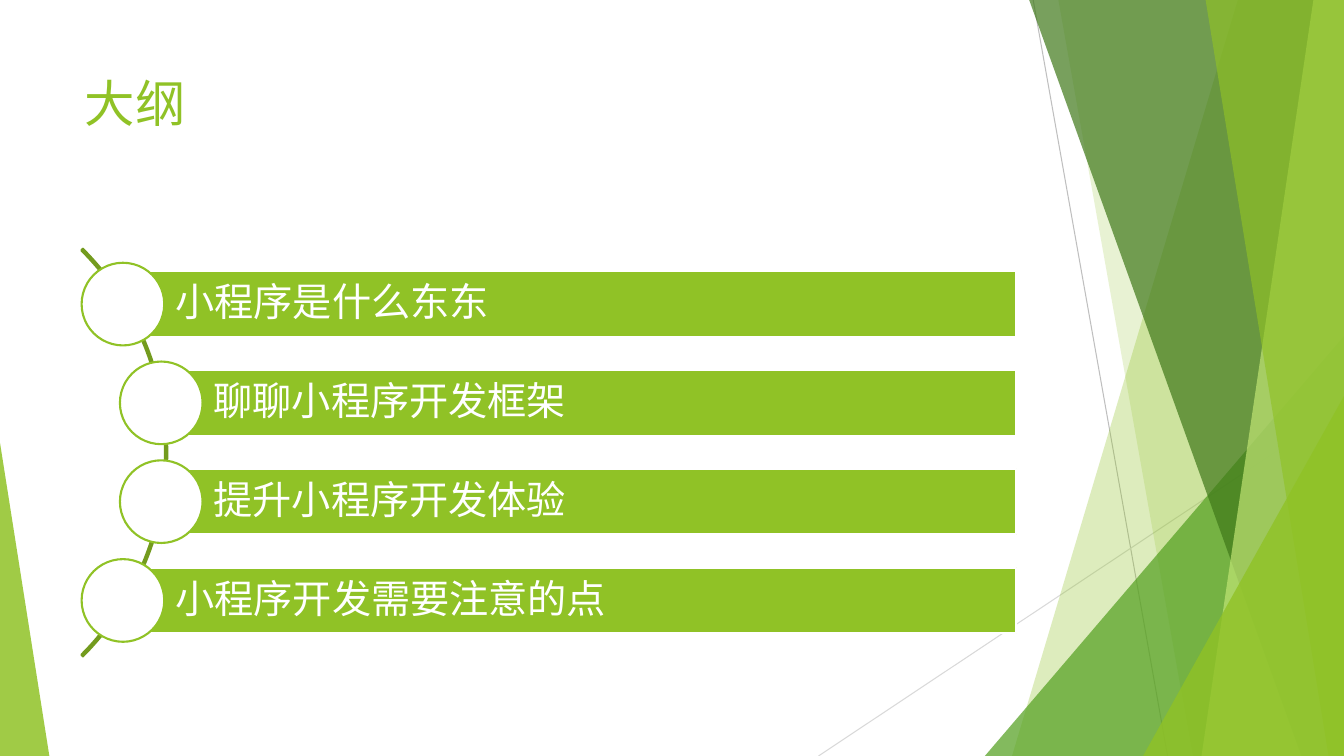
from lxml import etree
from pptx import Presentation
from pptx import util as u
from pptx.dml.color import RGBColor
from pptx.enum import shapes, text
from pptx.oxml import ns

LIME = RGBColor(0x90, 0xC2, 0x26)
PALE_LIME = RGBColor(0xC0, 0xE4, 0x74)
LEAF = RGBColor(0x54, 0xA0, 0x21)
FOREST = RGBColor(0x3F, 0x78, 0x19)
MOSS = RGBColor(0x73, 0x9B, 0x1E)
GREY = RGBColor(0xBF, 0xBF, 0xBF)
LIGHT_GREY = RGBColor(0xD9, 0xD9, 0xD9)
WHITE = RGBColor(0xFF, 0xFF, 0xFF)

COLS, ROWS = 80, 45


class OutlineSlide:
    """Draws on a grid of COLS by ROWS cells."""
    font = "Karla"

    def __init__(self, deck):
        self.slide = deck.slides.add_slide(deck.slide_layouts[5])
        self.shapes = self.slide.shapes
        self.col = deck.slide_width / COLS
        self.row = deck.slide_height / ROWS

    def point(self, x, y):
        return round(x * self.col), round(y * self.row)

    def paint(self, shape, fill=None, opacity=100, line=None):
        shape.shadow.inherit = False
        if fill is None:
            shape.fill.background()
        else:
            shape.fill.solid()
            shape.fill.fore_color.rgb = fill
        if opacity < 100:
            color = shape._element.spPr.find(".//" + ns.qn("a:srgbClr"))
            etree.SubElement(color, ns.qn("a:alpha"), val=str(opacity * 1000))
        if line is None:
            shape.line.fill.background()
        else:
            shape.line.color.rgb = line
            shape.line.width = u.Pt(1.5)

    def preset(self, kind, x, y, width, height, adjustments=(), **style):
        shape = self.shapes.add_shape(
            kind, *self.point(x, y), *self.point(width, height))
        for index, value in enumerate(adjustments):
            shape.adjustments[index] = value
        self.paint(shape, **style)
        return shape

    def pane(self, top_x, bottom_x, fill, opacity):
        """Fills everything right of a slanted edge."""
        outline = self.shapes.build_freeform(*self.point(top_x, 0), scale=1.0)
        outline.add_line_segments([self.point(COLS, 0), self.point(COLS, ROWS),
                                   self.point(bottom_x, ROWS)])
        self.paint(outline.convert_to_shape(), fill, opacity)

    def corner(self, x, y, width, apex, fill, opacity):
        """Stands a right triangle on the bottom edge."""
        self.preset(shapes.MSO_SHAPE.ISOSCELES_TRIANGLE, x, y, width, ROWS - y,
                    [apex], fill=fill, opacity=opacity)

    def hairline(self, start, end, color):
        line = self.shapes.add_connector(
            shapes.MSO_CONNECTOR.STRAIGHT, *self.point(*start), *self.point(*end))
        line.line.color.rgb = color
        line.line.width = u.Pt(0.75)
        etree.SubElement(line._element.spPr, ns.qn("a:effectLst"))

    def set_words(self, frame, words, size, color, anchor):
        frame.text = words
        frame.word_wrap = True
        frame.auto_size = text.MSO_AUTO_SIZE.NONE
        frame.vertical_anchor = anchor
        paragraph = frame.paragraphs[0]
        paragraph.alignment = text.PP_ALIGN.LEFT
        font = paragraph.runs[0].font
        font.name, font.size, font.color.rgb = self.font, u.Pt(size), color
        return paragraph

    def title(self, words, x, y, width, height):
        heading = self.shapes.title
        heading.left, heading.top = self.point(x, y)
        heading.width, heading.height = self.point(width, height)
        self.set_words(heading.text_frame, words, 36, LIME, text.MSO_ANCHOR.TOP)

    def topic(self, words, x, middle, right, height, diameter):
        """Draws a bar with a circle centred on its left end."""
        bar = self.preset(shapes.MSO_SHAPE.RECTANGLE, x, middle - height / 2,
                          right - x, height, fill=LIME, line=WHITE)
        frame = bar.text_frame
        frame.margin_left = u.Inches(0.52)
        frame.margin_top = frame.margin_right = frame.margin_bottom = u.Inches(0.08)
        paragraph = self.set_words(frame, words, 28, WHITE, text.MSO_ANCHOR.MIDDLE)
        paragraph.line_spacing = 0.9
        self.preset(shapes.MSO_SHAPE.OVAL, x - diameter / 2, middle - diameter / 2,
                    diameter, diameter, fill=WHITE, line=LIME)


def main():
    deck = Presentation()
    deck.slide_width, deck.slide_height = u.Inches(13.33), u.Inches(7.5)
    outline = OutlineSlide(deck)

    # Faceted background
    outline.hairline((61.5, 0), (69.5, ROWS), GREY)
    outline.hairline((COLS, 24.18), (48.72, ROWS), LIGHT_GREY)
    outline.pane(73.68, 60.24, LIME, 30)
    outline.pane(63, 71, LIME, 20)
    outline.corner(58.62, 20, 21.38, 1, LEAF, 72)
    outline.pane(61.26, 77.46, FOREST, 70)
    outline.pane(78.18, 71.52, PALE_LIME, 70)
    outline.pane(71.76, 79.08, LIME, 65)
    outline.corner(68.04, 23.58, 11.96, 1, LIME, 80)
    outline.corner(0, 26.34, 2.94, 0, LIME, 85)

    # Title
    outline.title("大纲", 4.44, 4.02, 56.4, 8.64)

    # Arc from 315 to 45 degrees, in units of 100000 / 60000 degrees
    outline.preset(shapes.MSO_SHAPE.BLOCK_ARC, -24.36, 9.78, 34.32, 34.32,
                   [315 * 0.6, 45 * 0.6, 0.004], line=MOSS)

    # Topics along the arc
    outer, inner = 7.32, 9.6
    topics = [("小程序是什么东东", outer), ("聊聊小程序开发框架", inner),
              ("提升小程序开发体验", inner), ("小程序开发需要注意的点", outer)]
    for index, (words, x) in enumerate(topics):
        outline.topic(words, x, 18.1 + 5.88 * index, right=60.5,
                      height=3.9, diameter=4.92)

    deck.save("out.pptx")


if __name__ == "__main__":
    main()
